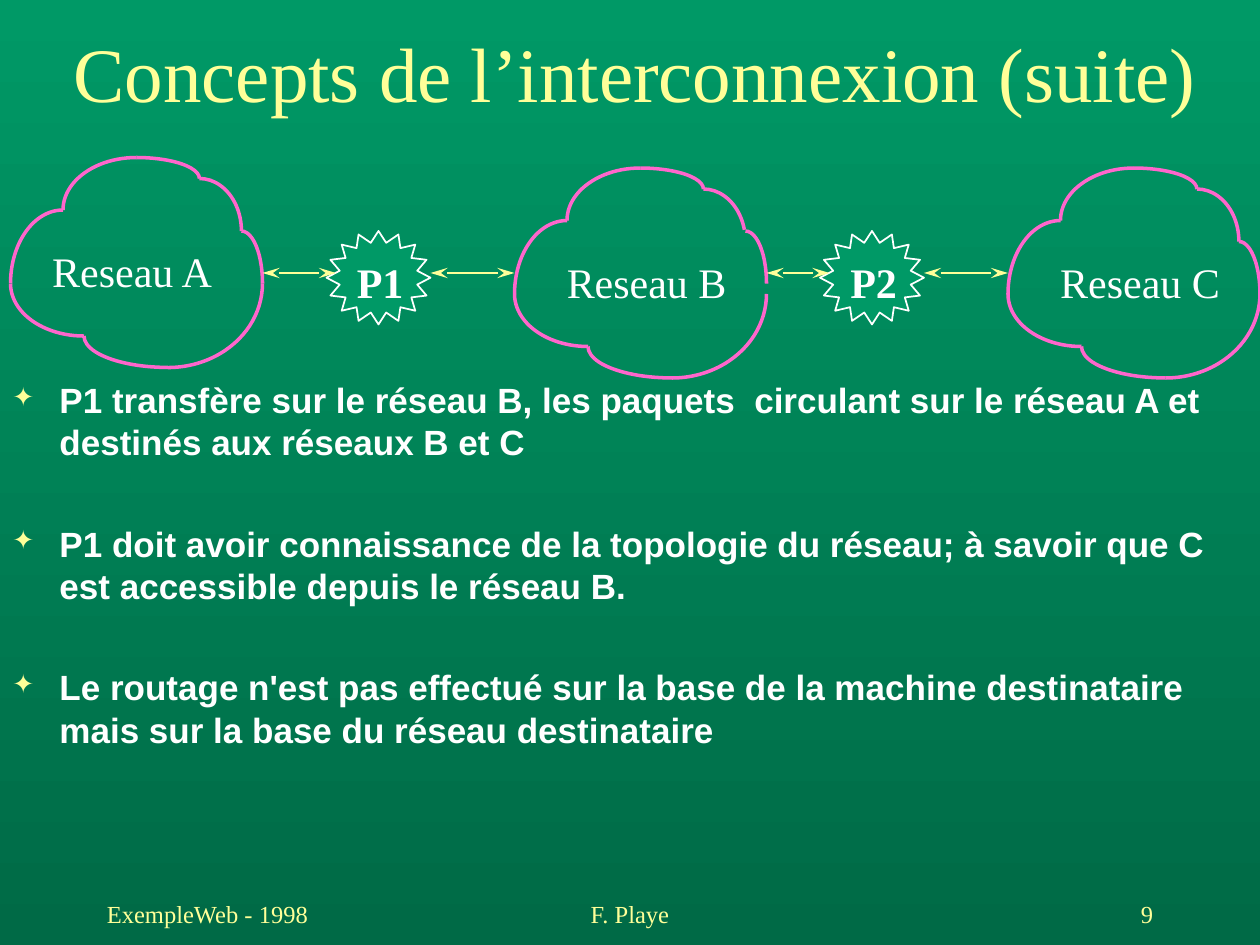
import dataclasses

import lxml.etree
import pptx
import pptx.dml.color
import pptx.enum.shapes
import pptx.enum.text
import pptx.oxml.ns
import pptx.util

ALIGN = pptx.enum.text.PP_ALIGN
ANCHOR = pptx.enum.text.MSO_ANCHOR
AUTO_SIZE = pptx.enum.text.MSO_AUTO_SIZE
SHAPE = pptx.enum.shapes.MSO_SHAPE

TOP_RIGHT, BOTTOM_RIGHT, BOTTOM_LEFT, TOP_LEFT = (270, 0), (0, 90), (90, 180), (180, 270)
CLOUD_ARCS = [
    ((6, 0, 12, 4), TOP_RIGHT),
    ((14, 2, 8, 10), TOP_RIGHT),
    ((20, 7, 4, 10), TOP_RIGHT),
    ((5, 0, 14, 10), TOP_LEFT),
    ((0, 5, 10, 14), TOP_LEFT),
    ((0, 7, 14, 10), BOTTOM_LEFT),
    ((7, 14, 16, 6), BOTTOM_LEFT),
    ((6, 4, 18, 16), BOTTOM_RIGHT),
]
CLOUD_B_ARCS = list(CLOUD_ARCS)
CLOUD_B_ARCS[1] = ((14, 2, 8, 10), (270, 344))
CLOUD_B_ARCS[2] = ((20, 6, 4, 10), TOP_RIGHT)


@dataclasses.dataclass(frozen=True)
class Theme:
    top: str = "009966"
    bottom: str = "006A46"
    accent: str = "FFFF99"
    cloud: str = "FF66CC"
    text: str = "FFFFFF"
    serif: str = "Times New Roman"
    sans: str = "Arial"
    title_size: int = 44
    label_size: int = 24
    body_size: int = 20
    footer_size: int = 14


def grid(units):
    return pptx.util.Cm(units * 2.54 / 12)


def color(value):
    return pptx.dml.color.RGBColor.from_string(value)


class SlideBuilder:
    def __init__(self, slide, theme):
        self.slide = slide
        self.theme = theme

    def background(self):
        fill = self.slide.background.fill
        fill.gradient()
        fill.gradient_angle = 270
        for stop, value in zip(fill.gradient_stops, (self.theme.top, self.theme.bottom)):
            stop.color.rgb = color(value)

    def outline(self, shape, value, width):
        shape.line.color.rgb = color(value)
        shape.line.width = pptx.util.Pt(width)

    def shape(self, kind, box):
        shape = self.slide.shapes.add_shape(kind, *map(grid, box))
        shape.shadow.inherit = False
        return shape

    def cloud(self, left, top, arcs):
        for (x, y, width, height), angles in arcs:
            arc = self.shape(SHAPE.ARC, (left + x, top + y, width, height))
            arc.fill.background()
            self.outline(arc, self.theme.cloud, 2)
            for index, angle in enumerate(angles):
                arc.adjustments[index] = angle * 0.6

    def gateway(self, left, name):
        star = self.shape(SHAPE.STAR_16_POINT, (left, 22, 9.9, 8.9))
        star.adjustments[0] = 0.38
        star.fill.solid()
        star.fill.fore_color.rgb = color(self.theme.top)
        self.outline(star, self.theme.text, 1)
        self.label((left + 1.7, 23.8, 7.5, 6), name, bold=True)

    def link(self, start, end):
        connector = self.slide.shapes.add_connector(
            pptx.enum.shapes.MSO_CONNECTOR.STRAIGHT, grid(start), grid(26), grid(end), grid(26))
        self.outline(connector, self.theme.accent, 1)
        line = connector.line._get_or_add_ln()
        for tag in ("a:headEnd", "a:tailEnd"):
            lxml.etree.SubElement(line, pptx.oxml.ns.qn(tag), type="stealth", w="med", len="lg")
        lxml.etree.SubElement(connector._element.spPr, pptx.oxml.ns.qn("a:effectLst"))

    def frame(self, box, anchor=ANCHOR.TOP):
        frame = self.slide.shapes.add_textbox(*map(grid, box)).text_frame
        frame.word_wrap = True
        frame.vertical_anchor = anchor
        return frame

    def run(self, paragraph, text, font, size, value, bold=False):
        run = paragraph.add_run()
        run.text = text
        run.font.name = font
        run.font.size = pptx.util.Pt(size)
        run.font.color.rgb = color(value)
        run.font.bold = bold

    def label(self, box, text, bold=False):
        frame = self.frame(box)
        frame.word_wrap = False
        frame.auto_size = AUTO_SIZE.SHAPE_TO_FIT_TEXT
        self.run(frame.paragraphs[0], text, self.theme.serif, self.theme.label_size,
                 self.theme.text, bold)

    def line_of_text(self, box, text, size, alignment):
        paragraph = self.frame(box, ANCHOR.MIDDLE).paragraphs[0]
        paragraph.alignment = alignment
        self.run(paragraph, text, self.theme.serif, size, self.theme.accent)

    def bullet(self, paragraph):
        properties = paragraph._p.get_or_add_pPr()
        indent = pptx.util.Cm(0.95)
        properties.set("marL", str(indent))
        properties.set("indent", str(-indent))
        bullet_color = lxml.etree.SubElement(properties, pptx.oxml.ns.qn("a:buClr"))
        lxml.etree.SubElement(bullet_color, pptx.oxml.ns.qn("a:srgbClr"), val=self.theme.accent)
        lxml.etree.SubElement(properties, pptx.oxml.ns.qn("a:buSzPct"), val="75000")
        lxml.etree.SubElement(properties, pptx.oxml.ns.qn("a:buChar"), char="✦")

    def bullets(self, box, texts):
        frame = self.frame(box)
        for index, text in enumerate(texts):
            paragraph = frame.add_paragraph() if index else frame.paragraphs[0]
            self.bullet(paragraph)
            paragraph.line_spacing = pptx.util.Pt(24)
            if index:
                paragraph.space_before = pptx.util.Pt(34)
            self.run(paragraph, text, self.theme.sans, self.theme.body_size, self.theme.text, True)


def main():
    presentation = pptx.Presentation()
    presentation.slide_width = grid(120)
    presentation.slide_height = grid(90)
    theme = Theme()
    builder = SlideBuilder(presentation.slides.add_slide(presentation.slide_layouts[6]), theme)
    builder.background()
    builder.line_of_text((4, 2.75, 113, 8.25), "Concepts de l’interconnexion (suite)",
                         theme.title_size, ALIGN.CENTER)
    builder.bullets((0, 35.5, 119, 44), [
        "P1 transfère sur le réseau B, les paquets  circulant sur le réseau A et "
        "destinés aux réseaux B et C",
        "P1 doit avoir connaissance de la topologie du réseau; à savoir que C "
        "est accessible depuis le réseau B.",
        "Le routage n'est pas effectué sur la base de la machine destinataire "
        "mais sur la base du réseau destinataire",
    ])

    for left, top, arcs in ((1, 15, CLOUD_ARCS), (49, 16, CLOUD_B_ARCS), (96, 16, CLOUD_ARCS)):
        builder.cloud(left, top, arcs)
    for left, top, name in ((3.8, 22.8, "A"), (52.8, 23.8, "B"), (99.8, 23.8, "C")):
        builder.label((left, top, 17.8, 6), f"Reseau {name}")
    for left, name in ((31.1, "P1"), (78.1, "P2")):
        builder.gateway(left, name)
    for start, end in ((25, 32), (41, 49), (73, 79), (88, 96)):
        builder.link(start, end)

    for left, width, text, alignment in (
        (41, 38, "F. Playe", ALIGN.CENTER),
        (86, 25, "9", ALIGN.RIGHT),
        (9, 25, "ExempleWeb - 1998", ALIGN.LEFT),
    ):
        builder.line_of_text((left, 84, width, 6), text, theme.footer_size, alignment)
    presentation.save("out.pptx")


if __name__ == "__main__":
    main()
